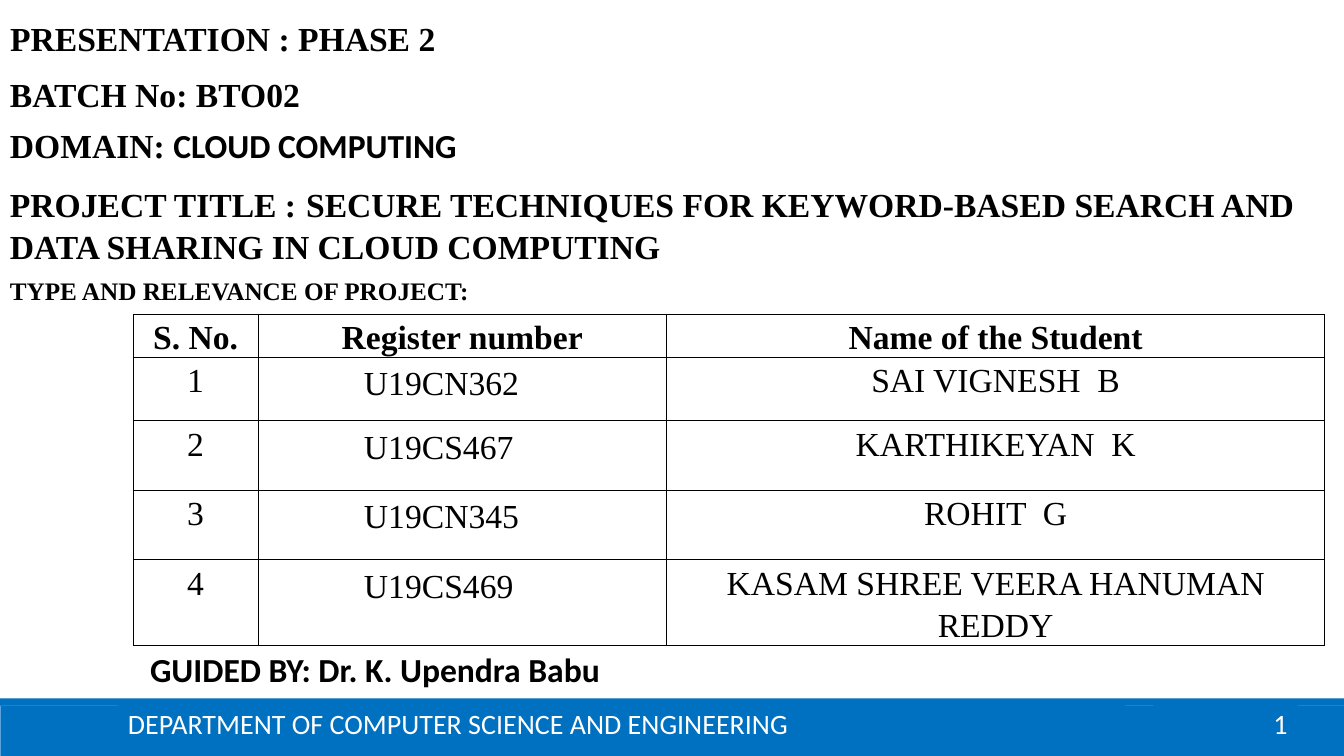
from dataclasses import dataclass
from typing import Any

from lxml.etree import SubElement
from pptx import Presentation
from pptx.dml.color import RGBColor
from pptx.enum.shapes import MSO_SHAPE as Shape
from pptx.enum.text import MSO_ANCHOR as Anchor, MSO_AUTO_SIZE as AutoSize, PP_ALIGN as Align
from pptx.oxml.ns import qn
from pptx.util import Inches, Pt

COLORS = {"band": "0070C0", "edge": "5BA3DC", "ink": "000000", "paper": "FFFFFF"}
SERIF, SANS = "Times New Roman", "Calibri"


@dataclass
class Span:
    text: str
    size: float = 24
    font: str = SERIF
    bold: bool = True
    color: str = "ink"


@dataclass
class Label:
    at: tuple[float, float, float, float]
    spans: list[Span]
    anchor: Any = Anchor.TOP
    wrap: bool = True


@dataclass
class Band:
    at: tuple[float, float, float, float]
    text: str = ""
    align: Any = Align.LEFT
    edged: bool = False


TITLE = Label((0, 0.13, 7.69, 0.5), [Span("PRESENTATION : PHASE 2")], Anchor.MIDDLE)
LABELS = [
    Label((0, 0.68, 3.94, 0.5), [Span("BATCH No: BTO02")], Anchor.MIDDLE),
    Label((0, 1.19, 4.68, 0.5), [Span("DOMAIN: "), Span("CLOUD COMPUTING", font=SANS)], wrap=False),
    Label((0, 1.72, 13.15, 0.98), [
        Span("PROJECT TITLE :"),
        Span(" ", size=28),
        Span("SECURE TECHNIQUES FOR KEYWORD-BASED SEARCH AND DATA SHARING IN CLOUD COMPUTING"),
    ]),
    Label((0, 2.68, 4.8, 0.4), [Span("TYPE AND RELEVANCE OF PROJECT:", size=18)], wrap=False),
    Label((1.39, 6.39, 6.23, 0.5), [Span("GUIDED BY: Dr. K. Upendra Babu", font=SANS)]),
]
BANDS = [
    Band((0, 7, 13.33, 0.5), edged=True),
    Band((0, 6.93, 13.33, 0.07)),
    Band((11.44, 6.98, 1.43, 0.4), "1", Align.RIGHT),
    Band((1.17, 6.98, 9.99, 0.39), "DEPARTMENT OF COMPUTER SCIENCE AND ENGINEERING"),
]
HEADINGS = ("S. No.", "Register number", "Name of the Student")
STUDENTS = [
    ("U19CN362", "SAI VIGNESH  B"),
    ("U19CS467", "KARTHIKEYAN  K"),
    ("U19CN345", "ROHIT  G"),
    ("U19CS469", "KASAM SHREE VEERA HANUMAN REDDY"),
]
COLUMN_WIDTHS = (1.24, 4.05, 6.53)
ROW_HEIGHTS = (0.41, 0.63, 0.69, 0.69, 0.69)
REGISTER_COLUMN = 1


def rgb(name: str) -> RGBColor:
    return RGBColor.from_string(COLORS[name])


def apply(target: Any, values: dict[str, Any]) -> None:
    for name, value in values.items():
        setattr(target, name, value)


def write(para: Any, spans: list[Span], align: Any = Align.LEFT) -> None:
    para.alignment = align
    for span in spans:
        run = para.add_run()
        run.text = span.text
        apply(run.font, {"size": Pt(span.size), "name": span.font, "bold": span.bold})
        run.font.color.rgb = rgb(span.color)


def fill_label(box: Any, label: Label) -> None:
    frame = box.text_frame
    apply(frame, {
        "word_wrap": label.wrap,
        "vertical_anchor": label.anchor,
        "auto_size": AutoSize.NONE,
    })
    write(frame.paragraphs[0], label.spans)


def add_band(slide: Any, band: Band) -> None:
    shape = slide.shapes.add_shape(Shape.RECTANGLE, *map(Inches, band.at))
    shape.shadow.inherit = False
    shape.fill.solid()
    shape.fill.fore_color.rgb = rgb("band")
    if band.edged:
        shape.line.color.rgb = rgb("edge")
        shape.line.width = Pt(0.5)
    else:
        shape.line.fill.background()
    if band.text:
        shape.text_frame.vertical_anchor = Anchor.MIDDLE
        span = Span(band.text, 20, SANS, False, "paper")
        write(shape.text_frame.paragraphs[0], [span], band.align)


def add_borders(cell: Any) -> None:
    properties = cell._tc.get_or_add_tcPr()
    for side in ("a:lnL", "a:lnR", "a:lnT", "a:lnB"):
        line = SubElement(properties, qn(side), w=str(Pt(1)))
        solid = SubElement(line, qn("a:solidFill"))
        SubElement(solid, qn("a:srgbClr"), val=COLORS["ink"])


def add_student_table(slide: Any) -> None:
    rows = [HEADINGS] + [(str(number), *student) for number, student in enumerate(STUDENTS, 1)]
    table = slide.shapes.add_table(
        len(rows), len(HEADINGS), Inches(1.32), Inches(3.12),
        Inches(sum(COLUMN_WIDTHS)), Inches(sum(ROW_HEIGHTS)),
    ).table
    apply(table, {"first_row": False, "horz_banding": False})
    for column, width in zip(table.columns, COLUMN_WIDTHS):
        column.width = Inches(width)
    for row, height in zip(table.rows, ROW_HEIGHTS):
        row.height = Inches(height)
    for r, texts in enumerate(rows):
        for c, text in enumerate(texts):
            cell = table.cell(r, c)
            indented = r > 0 and c == REGISTER_COLUMN
            apply(cell, {
                "margin_left": Inches(1.05 if indented else 0.07),
                "margin_right": Inches(0.07),
                "margin_top": Inches(0.03 if indented else 0),
                "margin_bottom": 0,
            })
            add_borders(cell)
            cell.fill.background()
            para = cell.text_frame.paragraphs[0]
            para.line_spacing = 1.15
            write(para, [Span(text, bold=r == 0)], Align.LEFT if indented else Align.CENTER)


def main() -> None:
    deck = Presentation()
    apply(deck, {"slide_width": Inches(13.33), "slide_height": Inches(7.5)})
    slide = deck.slides.add_slide(deck.slide_layouts[5])
    title = slide.shapes.title
    apply(title, dict(zip(("left", "top", "width", "height"), map(Inches, TITLE.at))))
    fill_label(title, TITLE)
    for band in BANDS:
        add_band(slide, band)
    add_student_table(slide)
    for label in LABELS:
        fill_label(slide.shapes.add_textbox(*map(Inches, label.at)), label)
    deck.save("out.pptx")


if __name__ == "__main__":
    main()
